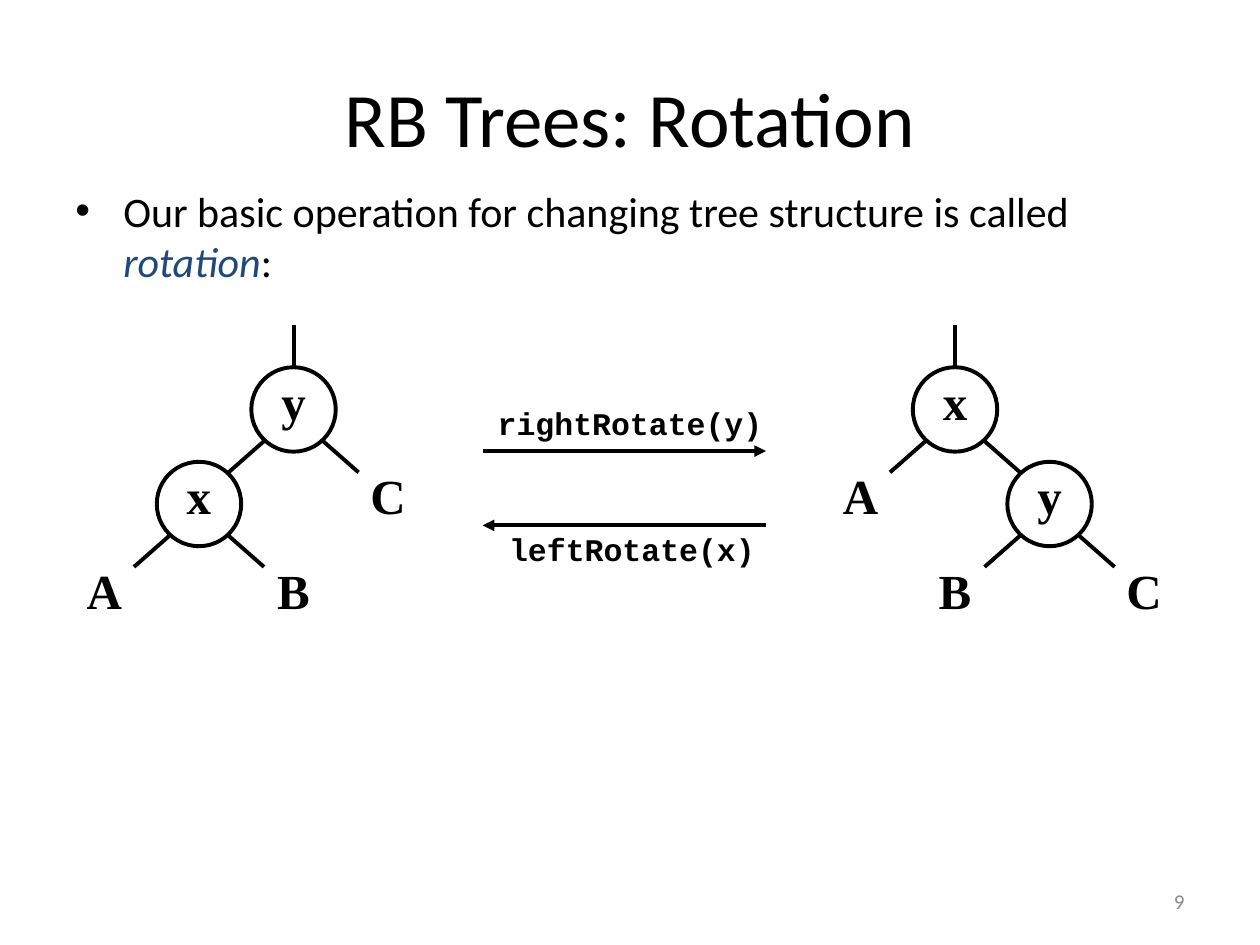
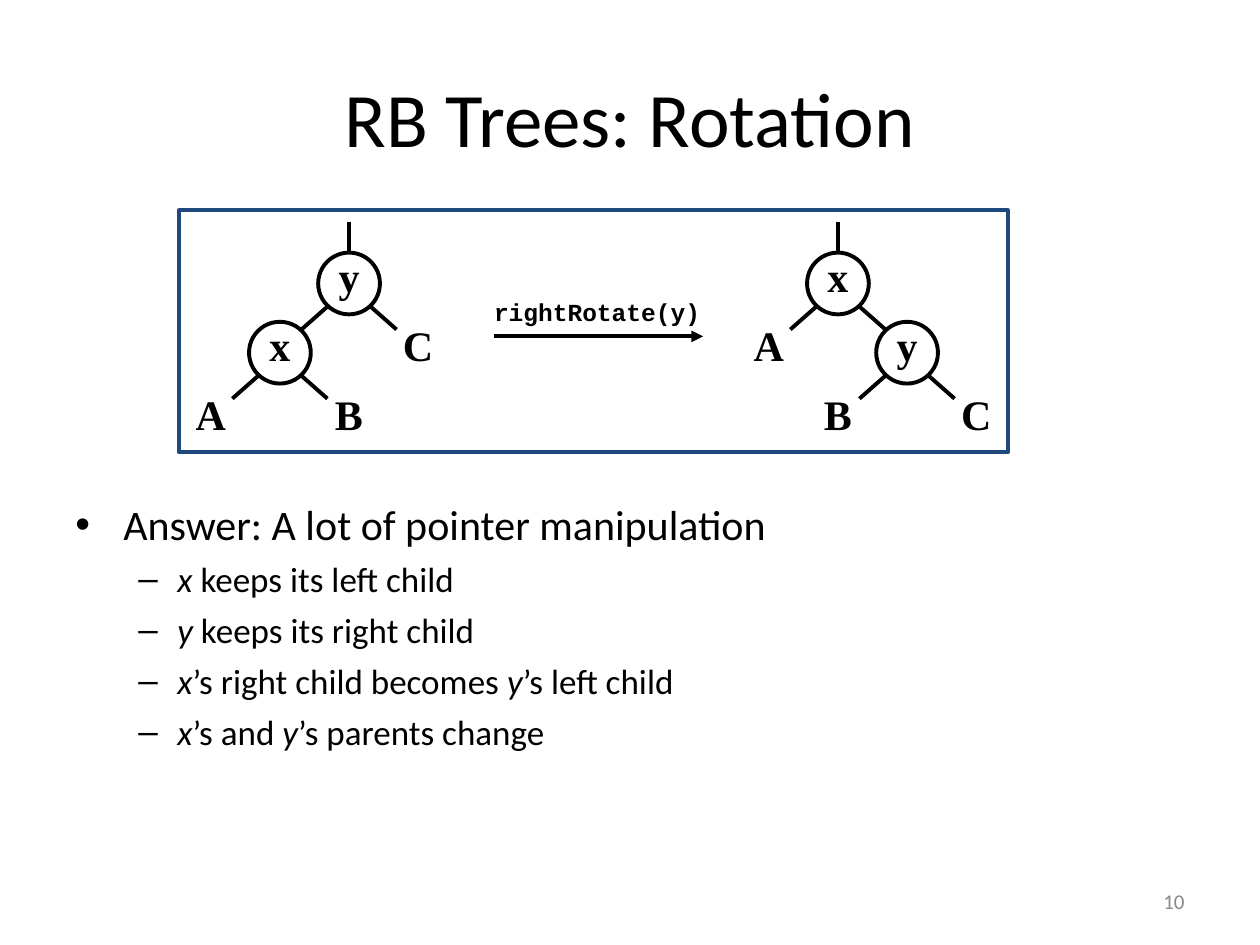
from lxml.etree import SubElement
from pptx import Presentation
from pptx.dml.color import RGBColor
from pptx.enum.shapes import MSO_CONNECTOR as Connector, MSO_SHAPE as Shape
from pptx.enum.text import MSO_ANCHOR as Anchor, PP_ALIGN as Align
from pptx.oxml.ns import qn
from pptx.util import Inches, Pt

BLACK, WHITE, NAVY, GREY = "000000", "FFFFFF", "1F497D", "898989"
LINE_WIDTH = Pt(2.25)
TITLE = {"name": "Calibri", "size": Pt(44)}
NUMBER = {"name": "Calibri", "size": Pt(12)}
CODE = {"name": "Courier New", "bold": True}
NODE = {"name": "Times New Roman", "bold": True}
LEVELS = [
    {"bullet": "•", "size": 24, "margin": 0.38, "hanging": 0.38, "before": 6},
    {"bullet": "–", "size": 20, "margin": 0.81, "hanging": 0.31, "before": 5},
]

TREE_BEFORE = ("y", ("x", "A", "B"), "C")
TREE_AFTER = ("x", "A", ("y", "B", "C"))


def rgb(color):
    return RGBColor.from_string(color)


def apply(target, values):
    for name, value in values.items():
        setattr(target, name, value)


def add_run(paragraph, text, font, color=BLACK):
    run = paragraph.add_run()
    run.text = text
    apply(run.font, font)
    run.font.color.rgb = rgb(color)


def add_text(slide, box, text, font, color=BLACK, align=Align.CENTER, wrap=True):
    frame = slide.shapes.add_textbox(*map(Inches, box)).text_frame
    apply(frame, {"word_wrap": wrap, "vertical_anchor": Anchor.MIDDLE})
    frame.paragraphs[0].alignment = align
    add_run(frame.paragraphs[0], text, font, color)


def add_bullets(slide, box, items, emphasis=BLACK):
    frame = slide.shapes.add_textbox(*map(Inches, box)).text_frame
    frame.word_wrap = True
    for index, (level, text) in enumerate(items):
        style = LEVELS[level]
        paragraph = frame.add_paragraph() if index else frame.paragraphs[0]
        apply(paragraph, {"level": level, "space_before": Pt(style["before"])})
        properties = paragraph._p.get_or_add_pPr()
        properties.set("marL", str(Inches(style["margin"])))
        properties.set("indent", str(-Inches(style["hanging"])))
        SubElement(properties, qn("a:buFont"), typeface="Arial")
        SubElement(properties, qn("a:buChar"), char=style["bullet"])
        for part, words in enumerate(text.split("*")):
            if words:
                italic = part % 2 == 1
                font = {"name": "Calibri", "size": Pt(style["size"]), "italic": italic}
                add_run(paragraph, words, font, emphasis if italic else BLACK)


def add_line(slide, start, end, arrow=False):
    line = slide.shapes.add_connector(
        Connector.STRAIGHT, *map(Inches, (*start, *end)))
    line.line.color.rgb = rgb(BLACK)
    line.line.width = LINE_WIDTH
    if arrow:
        SubElement(line.line._get_or_add_ln(), qn("a:tailEnd"), type="triangle")
    SubElement(line._element.spPr, qn("a:effectLst"))
    return line


def add_outline(slide, kind, box, fill=None, line=None):
    shape = slide.shapes.add_shape(kind, *map(Inches, box))
    shape.shadow.inherit = False
    if fill:
        shape.fill.solid()
        shape.fill.fore_color.rgb = rgb(fill)
    else:
        shape.fill.background()
    if line:
        shape.line.color.rgb = rgb(line)
        shape.line.width = LINE_WIDTH
    else:
        shape.line.fill.background()
    return shape


def add_node(slide, center, size, label, font_size, circled):
    x, y = center
    box = (x - size / 2, y - size / 2, size, size)
    node = add_outline(slide, Shape.OVAL, box, WHITE, BLACK if circled else None)
    frame = node.text_frame
    apply(frame, {"word_wrap": False, "vertical_anchor": Anchor.MIDDLE})
    apply(frame.paragraphs[0], {"alignment": Align.CENTER, "line_spacing": 0.6})
    add_run(frame.paragraphs[0], label, {**NODE, "size": Pt(font_size)})
    return node


def add_subtree(slide, tree, center, size, font_size):
    label, *children = tree
    node = add_node(slide, center, size, label, font_size, bool(children))
    x, y = center
    step, across, down = 1.12 * size, 0.35 * size, 0.375 * size
    for side, child in zip((-1, 1), children):
        child_x, child_y = x + side * step, y + step
        add_subtree(slide, child, (child_x, child_y), size, font_size)
        add_line(slide, (x + side * across, y + down),
                 (child_x - side * across, child_y - down))
    return node


def add_tree(slide, tree, center, size, font_size):
    root = add_subtree(slide, tree, center, size, font_size)
    x, y = center
    stem = add_line(slide, (x, y - size / 2), (x, y - size))
    stem.begin_connect(root, 0)


def add_slide(presentation, number):
    slide = presentation.slides.add_slide(presentation.slide_layouts[6])
    add_text(slide, (0.5, 0.3, 9, 1.25), "RB Trees: Rotation", TITLE)
    add_text(slide, (7.17, 6.95, 2.33, 0.4), str(number), NUMBER, GREY, Align.RIGHT)
    return slide


def add_rotation_slide(presentation):
    slide = add_slide(presentation, 9)
    add_bullets(slide, (0.5, 1.42, 9.08, 1), [
        (0, "Our basic operation for changing tree structure is called *rotation*:"),
    ], NAVY)
    add_tree(slide, TREE_BEFORE, (2.33, 3.25), 0.67, 28)
    add_tree(slide, TREE_AFTER, (7.58, 3.25), 0.67, 28)
    code = {**CODE, "size": Pt(18)}
    add_line(slide, (3.83, 3.58), (6.08, 3.58), arrow=True)
    add_text(slide, (3.85, 3.16, 2.3, 0.4), "rightRotate(y)", code, wrap=False)
    add_line(slide, (6.08, 4.17), (3.83, 4.17), arrow=True)
    add_text(slide, (3.94, 4.16, 2.15, 0.4), "leftRotate(x)", code, wrap=False)


def add_answer_slide(presentation):
    slide = add_slide(presentation, 10)
    add_tree(slide, TREE_BEFORE, (2.77, 2.25), 0.49, 24)
    add_tree(slide, TREE_AFTER, (6.65, 2.25), 0.49, 24)
    add_line(slide, (3.92, 2.67), (5.58, 2.67), arrow=True)
    add_text(slide, (3.82, 2.3, 1.84, 0.34), "rightRotate(y)",
             {**CODE, "size": Pt(14)}, wrap=False)
    add_outline(slide, Shape.RECTANGLE, (1.42, 1.67, 6.58, 1.92), line=NAVY)
    add_bullets(slide, (0.5, 3.91, 9.08, 2.76), [
        (0, "Answer: A lot of pointer manipulation"),
        (1, "*x* keeps its left child"),
        (1, "*y* keeps its right child"),
        (1, "*x*’s right child becomes *y*’s left child"),
        (1, "*x*’s and *y*’s parents change"),
    ])


def main():
    presentation = Presentation()
    apply(presentation, {"slide_width": Inches(10), "slide_height": Inches(7.5)})
    add_rotation_slide(presentation)
    add_answer_slide(presentation)
    presentation.save("out.pptx")


if __name__ == "__main__":
    main()
